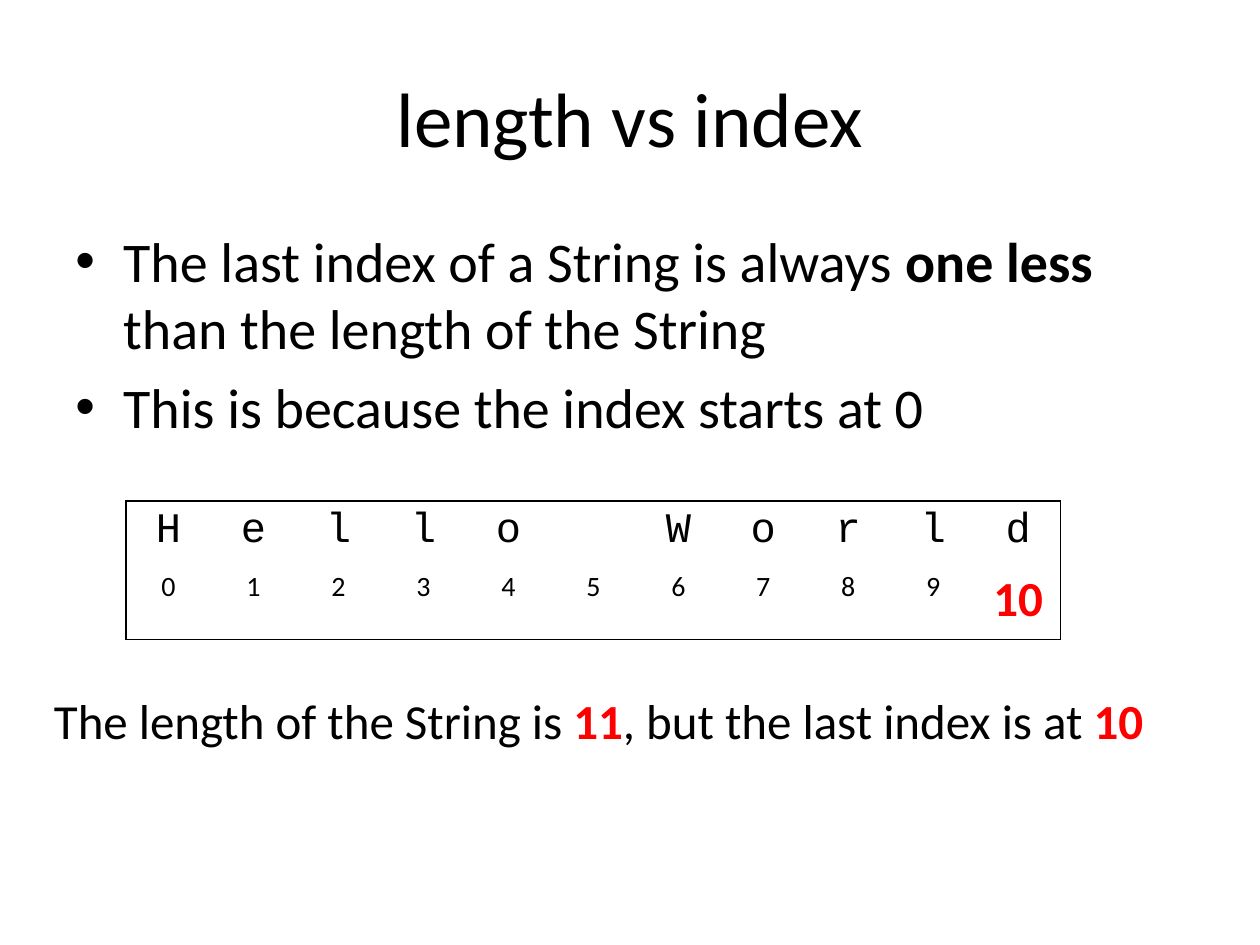
import pptx
import pptx.dml.color
import pptx.enum.text
import pptx.oxml
import pptx.oxml.ns
import pptx.util

BLACK = pptx.dml.color.RGBColor(0, 0, 0)
RED = pptx.dml.color.RGBColor(255, 0, 0)
WIDTH, HEIGHT = pptx.util.Inches(10), pptx.util.Inches(7.5)
BODY = {"name": "Calibri", "size": pptx.util.Pt(32)}
LETTER = {"name": "Courier New", "size": pptx.util.Pt(24)}
INDEX = {"name": "Calibri", "size": pptx.util.Pt(16)}
SUMMARY = {"name": "Calibri", "size": pptx.util.Pt(28)}
BOLD = {"bold": True}
HIGHLIGHT = {"bold": True, "color": RED}
LAST_INDEX = SUMMARY | HIGHLIGHT
CENTER = pptx.enum.text.PP_ALIGN.CENTER


def add_run(paragraph, text, style):
    run = paragraph.add_run()
    run.text = text
    run.font.color.rgb = style.get("color", BLACK)
    for attribute, value in style.items():
        if attribute != "color":
            setattr(run.font, attribute, value)


def add_runs(paragraph, base, pieces):
    for text, extra in pieces:
        add_run(paragraph, text, base | extra)


def place(shape, left, top, width, height):
    """Position a shape by shares of the slide's size."""
    shape.left, shape.width = round(WIDTH * left), round(WIDTH * width)
    shape.top, shape.height = round(HEIGHT * top), round(HEIGHT * height)


def add_title(slide, text):
    title = slide.shapes.title
    place(title, 0.05, 0.04, 0.9, 1 / 6)
    title.text_frame.vertical_anchor = pptx.enum.text.MSO_ANCHOR.MIDDLE
    paragraph = title.text_frame.paragraphs[0]
    paragraph.alignment = CENTER
    add_run(paragraph, text, {"name": "Calibri", "size": pptx.util.Pt(44)})


def add_text_box(slide, wrap, *box):
    text_box = slide.shapes.add_textbox(0, 0, 0, 0)
    place(text_box, *box)
    text_box.text_frame.word_wrap = wrap
    return text_box.text_frame


def add_bullets(slide, items):
    frame = add_text_box(slide, True, 0.05, 0.233, 0.9, 0.244)
    indent = pptx.util.Inches(0.38)
    for number, pieces in enumerate(items):
        paragraph = frame.add_paragraph() if number else frame.paragraphs[0]
        properties = paragraph._p.get_or_add_pPr()
        properties.set("marL", str(indent))
        properties.set("indent", str(-indent))
        for tag, name, value in (("buFont", "typeface", "Arial"), ("buChar", "char", "•")):
            bullet = pptx.oxml.ns.qn(f"a:{tag}")
            properties.append(properties.makeelement(bullet, {name: value}))
        if number:
            paragraph.space_before = pptx.util.Pt(6.4)
        add_runs(paragraph, BODY, pieces)


def set_borders(cell, visible):
    """Draw the sides named in visible and hide the others."""
    for side in "LRTB":
        paint = ('<a:solidFill><a:srgbClr val="000000"/></a:solidFill>'
                 if side in visible else "<a:noFill/>")
        cell._tc.get_or_add_tcPr().append(pptx.oxml.parse_xml(
            f'<a:ln{side} {pptx.oxml.ns.nsdecls("a")} w="{pptx.util.Pt(1)}">{paint}</a:ln{side}>'))


def add_index_table(slide, word):
    last = len(word) - 1
    frame = slide.shapes.add_table(2, len(word), 0, 0, 0, 0)
    place(frame, 0.1, 0.53, 0.742, 0.142)
    table = frame.table
    table.first_row = table.horz_banding = False
    for row, height in zip(table.rows, (0.46, 0.6)):
        row.height = pptx.util.Inches(height)
    for column, letter in enumerate(word):
        table.columns[column].width = round(WIDTH * 0.742 / len(word))
        index_style = LAST_INDEX if column == last else INDEX
        ends = {0: "L", last: "R"}.get(column, "")
        entries = ((letter.strip(), LETTER, "T"), (str(column), index_style, "B"))
        for row, (text, style, edge) in enumerate(entries):
            cell = table.cell(row, column)
            set_borders(cell, edge + ends)
            cell.fill.background()
            paragraph = cell.text_frame.paragraphs[0]
            paragraph.alignment = CENTER
            if text:
                add_run(paragraph, text, style)


def add_summary(slide, pieces):
    frame = add_text_box(slide, False, 0.033, 0.724, 0.895, 0.076)
    frame.auto_size = pptx.enum.text.MSO_AUTO_SIZE.SHAPE_TO_FIT_TEXT
    add_runs(frame.paragraphs[0], SUMMARY, pieces)


def main():
    presentation = pptx.Presentation()
    presentation.slide_width, presentation.slide_height = WIDTH, HEIGHT
    slide = presentation.slides.add_slide(presentation.slide_layouts[5])
    add_title(slide, "length vs index")
    add_bullets(slide, [
        [("The last index of a String is always ", {}), ("one less", BOLD),
         (" than the length of the String", {})],
        [("This is because the index starts at 0", {})],
    ])
    add_index_table(slide, "Hello World")
    add_summary(slide, [
        ("The length of the String is ", {}), ("11", HIGHLIGHT),
        (", but the last index is at ", {}), ("10", HIGHLIGHT),
    ])
    presentation.save("out.pptx")


if __name__ == "__main__":
    main()
